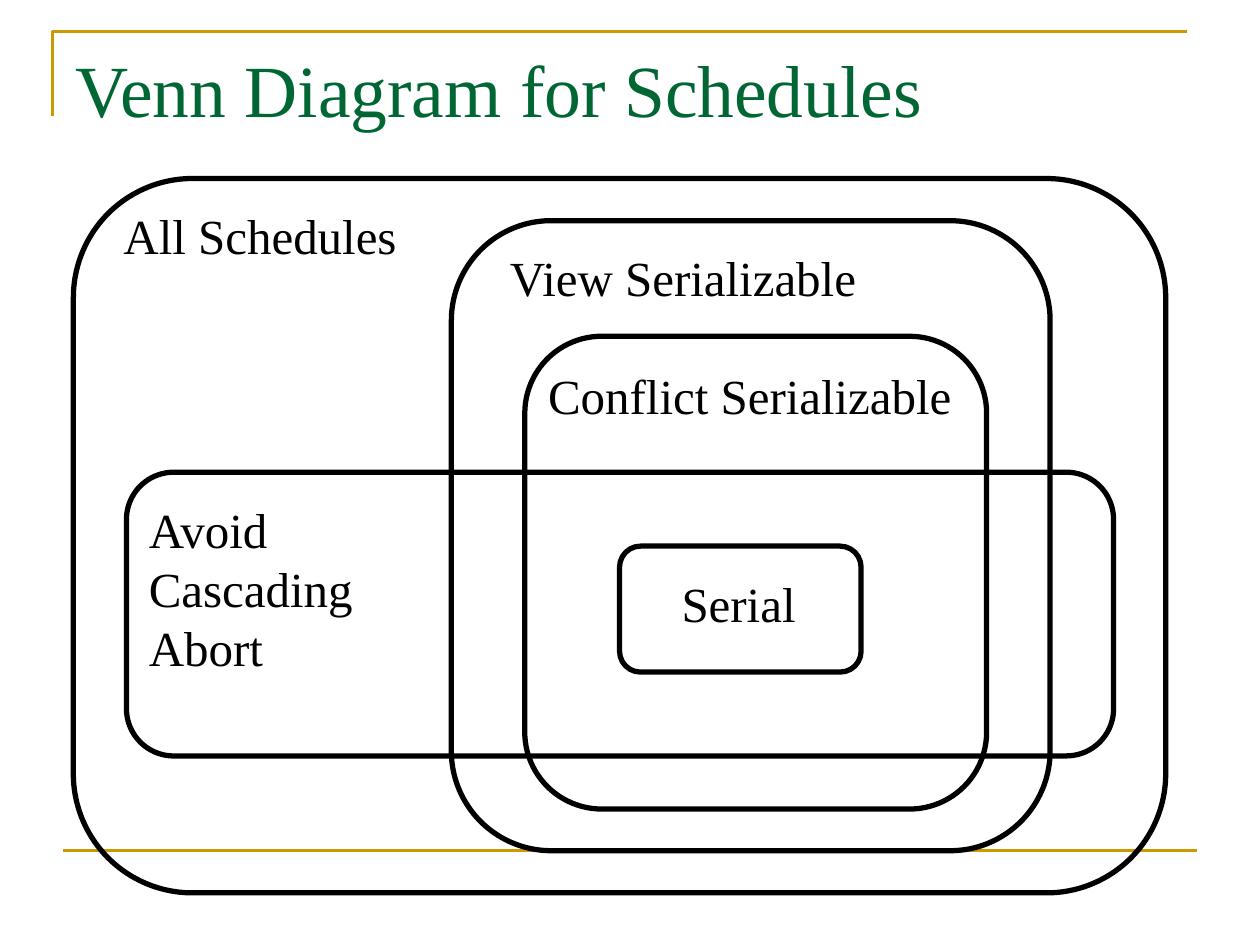
"""Build a slide with a Venn diagram of schedule classes."""
import pptx
import pptx.dml.color
import pptx.enum.shapes
import pptx.enum.text
import pptx.util
import lxml.etree
import pptx.oxml.ns

Cm = pptx.util.Cm
Pt = pptx.util.Pt
COLORS = {"accent": "CC9900", "title": "006633", "ink": "000000"}
FONT = "Times New Roman"

SETS = [
    ((0, 0, 22.02, 14.4), "All Schedules", (0.76, 0.42, 6.1, 1.45), False),
    ((1.07, 5.92, 19.9, 5.72), "Avoid Cascading Abort", (1.27, 6.35, 6.77, 3.81), True),
    ((11.01, 7.41, 4.87, 2.54), "Serial", (12.01, 7.83, 3.1, 1.45), False),
    ((7.62, 0.85, 12.07, 12.7), "View Serializable", (8.55, 1.27, 7.6, 1.45), False),
    ((9.1, 3.18, 9.31, 9.53), "Conflict Serializable", (9.32, 3.64, 8.8, 1.45), False),
]


def color(name):
    """Return the named colour."""
    return pptx.dml.color.RGBColor.from_string(COLORS[name])


def shifted(box, origin):
    """Return a box in lengths, moved by the corner of its region."""
    left, top, width, height = box
    return Cm(origin[0] + left), Cm(origin[1] + top), Cm(width), Cm(height)


def add_text(slide, text, box, size=28, ink="ink", wrap=True):
    """Add a text box with one formatted paragraph."""
    shape = slide.shapes.add_textbox(*box)
    frame = shape.text_frame
    frame.word_wrap = wrap
    paragraph = frame.paragraphs[0]
    paragraph.alignment = pptx.enum.text.PP_ALIGN.LEFT
    run = paragraph.add_run()
    run.text = text
    run.font.name = FONT
    run.font.size = Pt(size)
    run.font.color.rgb = color(ink)


def outline(shape, ink, width):
    """Give a shape a plain outline without fill or shadow."""
    shape.shadow.inherit = False
    shape.fill.background()
    shape.line.color.rgb = color(ink)
    shape.line.width = Pt(width)


def add_header(slide, box):
    """Draw the corner rule and the title."""
    left, top, width, height = box
    builder = slide.shapes.build_freeform(Cm(left), Cm(top + height))
    builder.add_line_segments(
        [(Cm(left), Cm(top)), (Cm(left + width), Cm(top))], close=False
    )
    outline(builder.convert_to_shape(), "accent", 1.5)
    title_box = shifted((0.21, 0.13, width, 3.17), (left, top))
    add_text(slide, "Venn Diagram for Schedules", title_box, size=42, ink="title")


def add_footer(slide, left, top, width):
    """Draw the footer rule."""
    line = slide.shapes.add_connector(
        pptx.enum.shapes.MSO_CONNECTOR.STRAIGHT,
        Cm(left), Cm(top), Cm(left + width), Cm(top),
    )
    line.line.color.rgb = color("accent")
    line.line.width = Pt(1.5)
    properties = line._element.spPr
    lxml.etree.SubElement(properties, pptx.oxml.ns.qn("a:effectLst"))


def add_diagram(slide, origin):
    """Draw each set of schedules with its label."""
    for set_box, label, label_box, wrap in SETS:
        shape = slide.shapes.add_shape(
            pptx.enum.shapes.MSO_SHAPE.ROUNDED_RECTANGLE, *shifted(set_box, origin)
        )
        shape.adjustments[0] = 1 / 6
        outline(shape, "ink", 3)
        add_text(slide, label, shifted(label_box, origin), wrap=wrap)


def main():
    """Build and save the presentation."""
    presentation = pptx.Presentation()
    presentation.slide_width = Cm(25.4)
    presentation.slide_height = Cm(19.05)
    slide = presentation.slides.add_slide(presentation.slide_layouts[6])
    add_header(slide, (1.06, 0.64, 22.86, 1.69))
    add_footer(slide, 1.27, 17.15, 22.86)
    add_diagram(slide, (1.48, 3.6))
    presentation.save("out.pptx")


if __name__ == "__main__":
    main()
